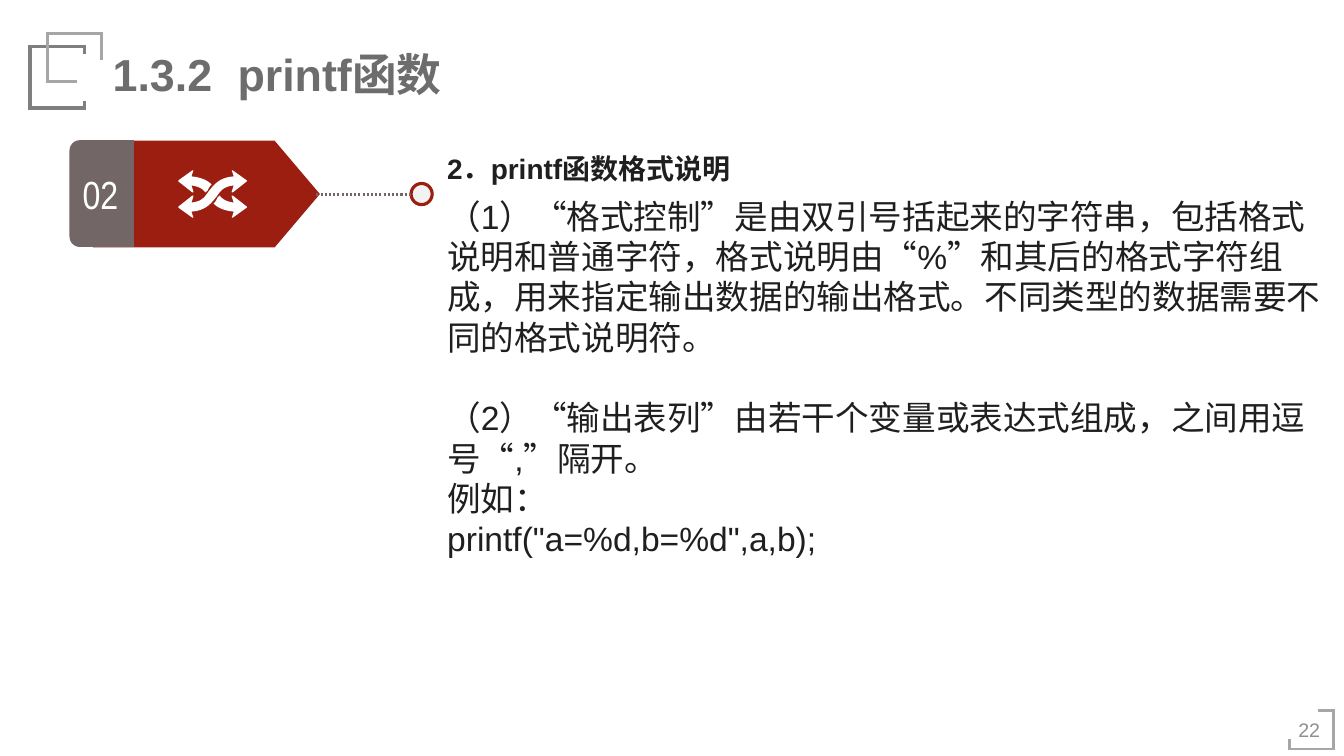
import dataclasses

import pptx
import pptx.dml.color
import pptx.enum.dml
import pptx.enum.lang
import pptx.enum.shapes
import pptx.enum.text
import pptx.oxml.ns
import pptx.util
from lxml import etree

PX = 9144
SHAPE = pptx.enum.shapes.MSO_SHAPE
ALIGN = pptx.enum.text.PP_ALIGN
MIDDLE = pptx.enum.text.MSO_ANCHOR.MIDDLE


@dataclasses.dataclass(frozen=True)
class Theme:
    font: str = "Arial"
    narrow: str = "Arial Narrow"
    title: str = "6D6D6D"
    ink: str = "1F1F1F"
    red: str = "9B1E11"
    taupe: str = "736666"
    frame_dark: str = "7F7F7F"
    frame_light: str = "A6A6A6"
    page: str = "8F8F8F"
    dot: str = "F2F2F2"
    white: str = "FFFFFF"
    title_size: int = 32
    number_size: int = 28
    body_size: int = 24
    heading_size: int = 20
    page_size: int = 14


THEME = Theme()


def rgb(value):
    return pptx.dml.color.RGBColor.from_string(value)


def add_child(parent, tag, **attrs):
    return etree.SubElement(parent, pptx.oxml.ns.qn(tag), attrs)


def style(sp, fill=None, line=None, width=0):
    sp.shadow.inherit = False
    if fill:
        sp.fill.solid()
        sp.fill.fore_color.rgb = rgb(fill)
    else:
        sp.fill.background()
    if line:
        sp.line.color.rgb = rgb(line)
        sp.line.width = pptx.util.Pt(width)
        add_child(sp.line._get_or_add_ln(), "a:miter", lim="800000")
    else:
        sp.line.fill.background()


def set_font(p, size, color, bold=False, name=THEME.font):
    p.font.size = pptx.util.Pt(size)
    p.font.name = name
    p.font.bold = bold
    p.font.color.rgb = rgb(color)
    p.font.language_id = pptx.enum.lang.MSO_LANGUAGE_ID.SIMPLIFIED_CHINESE


def add_text(slide, box, lines, size, color, bold=False, tab=None, gaps=None):
    sp = slide.shapes.add_textbox(*(v * PX for v in box))
    tf = sp.text_frame
    tf.word_wrap = True
    for i, line in enumerate(lines):
        p = tf.paragraphs[0] if i == 0 else tf.add_paragraph()
        p.text = line
        pPr = p._p.get_or_add_pPr()
        pPr.set("hangingPunct", "0")
        if tab:
            tabs = add_child(pPr, "a:tabLst")
            add_child(tabs, "a:tab", pos=str(tab * PX), algn="l")
        if gaps and i in gaps:
            p.space_before = pptx.util.Pt(gaps[i])
        set_font(p, size, color, bold)
    return sp


def add_shape(slide, kind, box, fill, line=None, width=0, rotation=0):
    sp = slide.shapes.add_shape(kind, *(v * PX for v in box))
    sp.rotation = rotation
    style(sp, fill, line, width)
    return sp


def add_outline(slide, contours, close, **look):
    scaled = [[(round(x * PX), round(y * PX)) for x, y in c] for c in contours]
    builder = slide.shapes.build_freeform(*scaled[0][0])
    for i, points in enumerate(scaled):
        if i:
            builder.move_to(*points[0])
        builder.add_line_segments(points[1:], close=close)
    style(builder.convert_to_shape(), **look)


def curve(a, b, c, d, steps=8):
    points = []
    for i in range(1, steps + 1):
        t = i / steps
        u = 1 - t
        points.append(tuple(
            u ** 3 * a[k] + 3 * u * u * t * b[k] + 3 * u * t * t * c[k] + t ** 3 * d[k]
            for k in (0, 1)))
    return points


def half_turn(points):
    return [(422 - x, 385 - y) for x, y in points]


def add_shuffle_icon(slide):
    arrow = [(245, 205), (245, 206), (231, 216), (230, 216), (232, 210),
             *curve((232, 210), (222, 209), (216, 206), (212, 202)),
             *curve((212, 202), (214, 200), (215, 198), (216, 196)), (218, 194),
             *curve((218, 194), (221, 198), (225, 200), (232, 201)),
             (230, 195), (230, 194), (231, 194)]
    band = [*curve((215, 195), (219, 189), (222, 185), (232, 184)),
            (230, 190), (230, 191), (231, 191), (245, 180), (245, 179),
            (231, 169), (230, 169), (232, 175),
            *curve((232, 175), (217, 176), (212, 184), (207, 190))]
    add_outline(slide, [arrow, half_turn(arrow), band + half_turn(band)], True,
                fill=THEME.white)


def add_dotted_line(slide, x1, x2, y):
    cx = slide.shapes.add_connector(
        pptx.enum.shapes.MSO_CONNECTOR.STRAIGHT, x1 * PX, y * PX, x2 * PX, y * PX)
    cx.line.color.rgb = rgb(THEME.taupe)
    cx.line.width = pptx.util.Pt(1.5)
    cx.line.dash_style = pptx.enum.dml.MSO_LINE.ROUND_DOT
    add_child(cx._element.spPr, "a:effectLst")


def add_frames(slide):
    frames = [
        ([(84, 54), (84, 46), (30, 46), (30, 107), (84, 107), (84, 100)], THEME.frame_dark, 2.5),
        ([(101, 60), (101, 33), (47, 33), (47, 81), (76, 81)], THEME.frame_light, 2.5),
        ([(1280, 733), (1280, 743), (1324, 743), (1324, 705), (1308, 705)], THEME.frame_light, 2),
    ]
    for points, color, width in frames:
        add_outline(slide, [points], False, line=color, width=width)


def add_page_number(slide):
    sp = add_text(slide, (1278, 697, 43, 54), ["22"], THEME.page_size, THEME.page)
    tf = sp.text_frame
    tf.vertical_anchor = MIDDLE
    tf.margin_left = tf.margin_right = 7 * PX
    tf.paragraphs[0].alignment = ALIGN.CENTER


def add_badge(slide):
    add_shape(slide, SHAPE.FLOWCHART_OFFPAGE_CONNECTOR, (152, 80, 106, 225),
              THEME.red, rotation=270)
    sp = add_shape(slide, SHAPE.ROUND_2_SAME_RECTANGLE, (48, 160, 106, 64),
                   THEME.taupe, rotation=270)
    sp.adjustments[0] = 0.16
    tf = sp.text_frame
    tf.margin_left = tf.margin_right = 5 * PX
    tf.margin_top = tf.margin_bottom = 10 * PX
    tf.vertical_anchor = MIDDLE
    tf._txBody.bodyPr.set("vert", "eaVert")
    p = tf.paragraphs[0]
    p.text = "02"
    p.alignment = ALIGN.CENTER
    set_font(p, THEME.number_size, THEME.white, name=THEME.narrow)


def main():
    prs = pptx.Presentation()
    prs.slide_width, prs.slide_height = 1334 * PX, 750 * PX
    slide = prs.slides.add_slide(prs.slide_layouts[6])
    add_page_number(slide)
    add_frames(slide)
    add_text(slide, (434, 145, 347, 43), ["2．printf函数格式说明"],
             THEME.heading_size, THEME.ink, bold=True)
    add_text(slide, (434, 189, 899, 370), [
        "（1）“格式控制”是由双引号括起来的字符串，包括格式说明和普通字符，"
        "格式说明由“%”和其后的格式字符组成，用来指定输出数据的输出格式。"
        "不同类型的数据需要不同的格式说明符。",
        "（2）“输出表列”由若干个变量或表达式组成，之间用逗号“,”隔开。",
        "例如：",
        'printf("a=%d,b=%d",a,b);',
    ], THEME.body_size, THEME.ink, gaps={1: 29})
    add_shape(slide, SHAPE.OVAL, (408, 182, 21, 21), THEME.dot, THEME.red, 2.25)
    add_badge(slide)
    add_dotted_line(slide, 314, 408, 193)
    add_shuffle_icon(slide)
    add_text(slide, (102, 41, 400, 63), ["1.3.2\tprintf函数"],
             THEME.title_size, THEME.title, bold=True, tab=124)
    prs.save("out.pptx")


if __name__ == "__main__":
    main()
